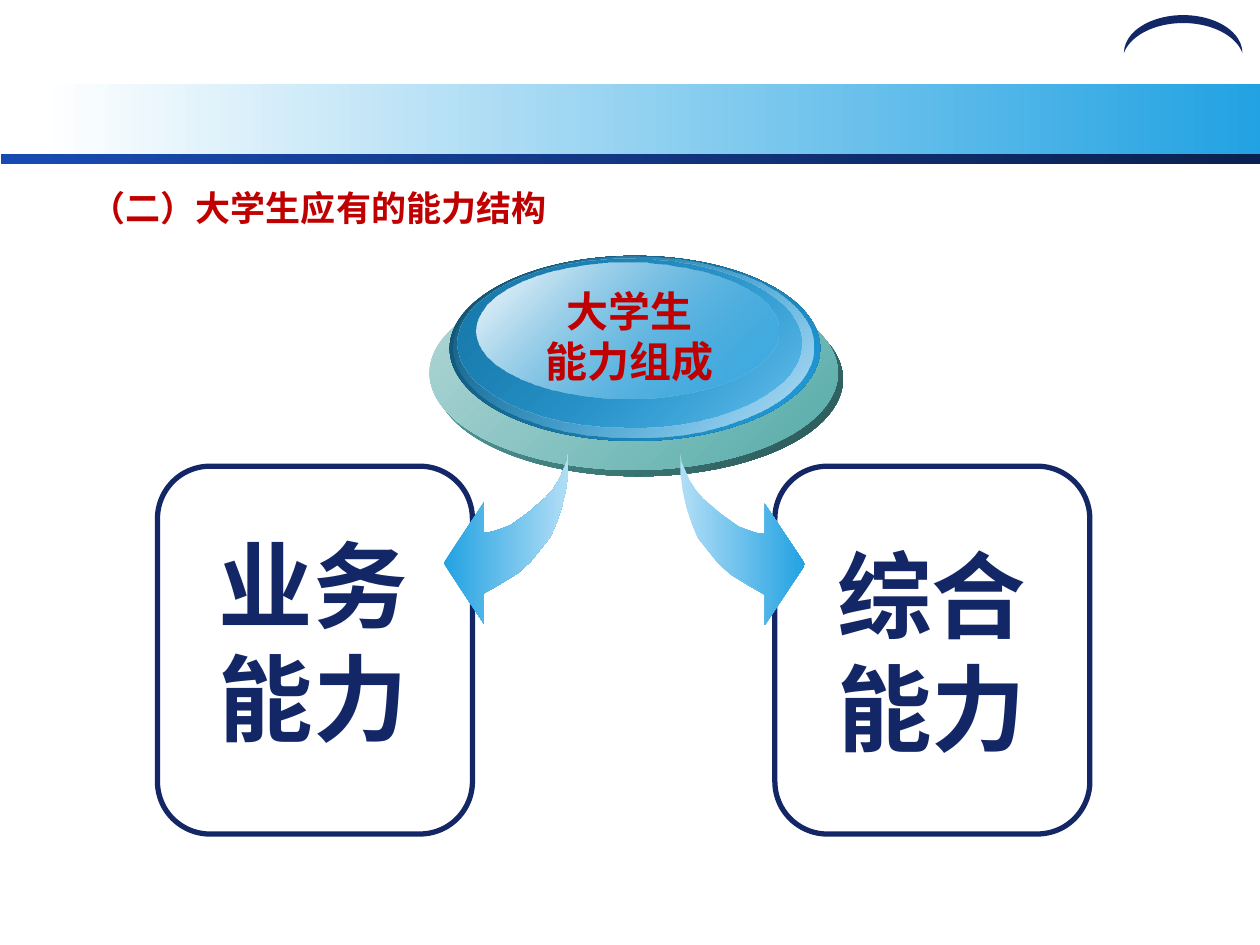
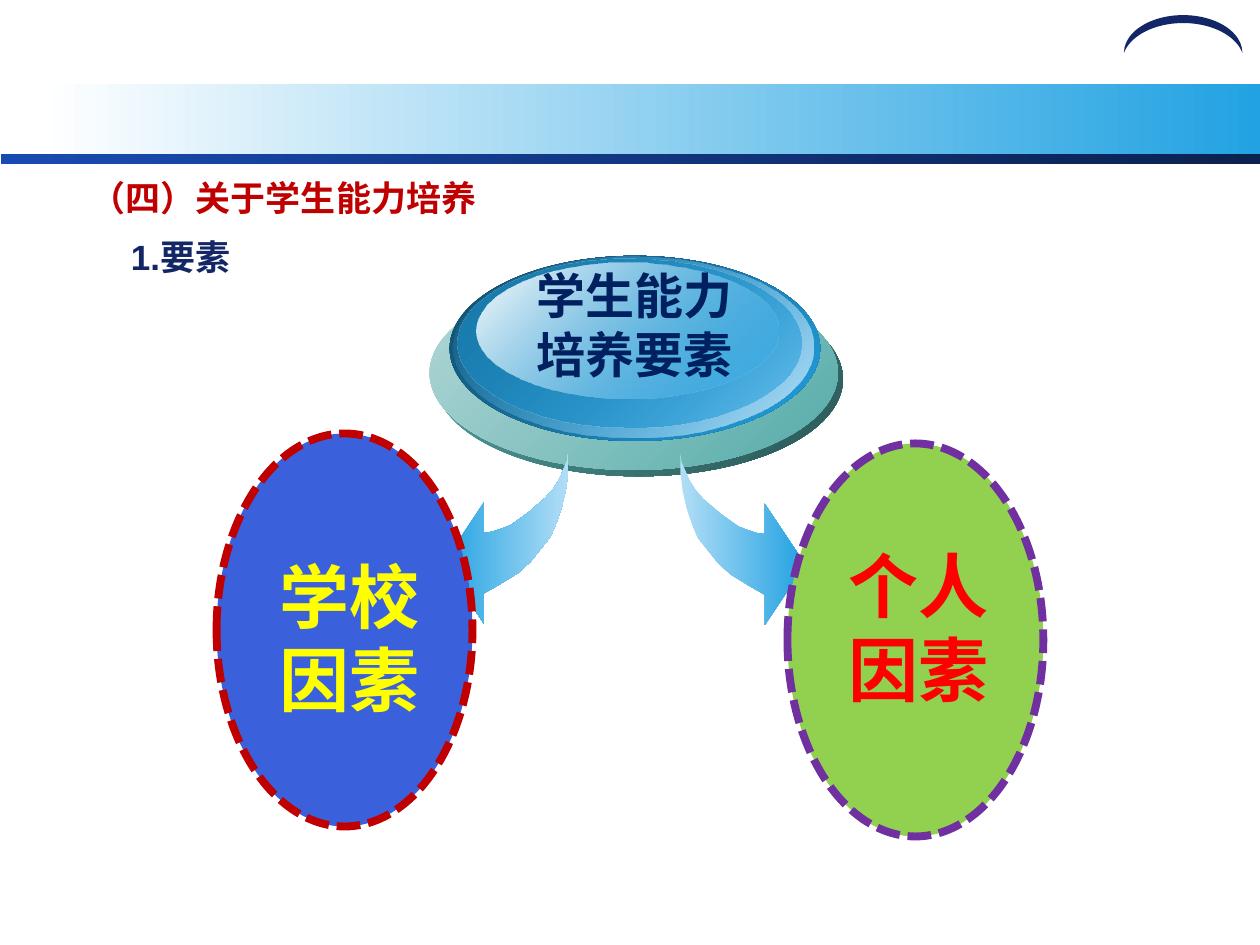
from lxml.etree import SubElement
from pptx import Presentation
from pptx.dml.color import RGBColor
from pptx.enum.dml import MSO_LINE
from pptx.enum.shapes import MSO_SHAPE
from pptx.enum.text import MSO_ANCHOR, MSO_AUTO_SIZE, PP_ALIGN
from pptx.oxml.ns import qn
from pptx.util import Pt

LATIN, CJK = "Arial", "Noto Sans CJK SC"
NAVY, SKY, RED, TEAL = "132767", "22A2E2", "C00000", "55ABA9"
LINE_PITCH = 1.2

# left, top, width, height, first colour, last colour, first alpha, last alpha
HUB_LAYERS = [
    (248.4, 161.3, 233.3, 110.9, TEAL, "2A5554", 100, 100),
    (245.5, 157.7, 233.3, 110.9, "B2D8D7", TEAL, 100, 100),
    (257, 146.2, 211.7, 105.8, "0F4A68", SKY, 100, 100),
    (259.2, 146.9, 205.9, 103, SKY, "C0E2F6", 0, 100),
    (261.4, 147.6, 196.6, 96.5, "1A7AAB", SKY, 100, 48),
    (272.2, 149.8, 172.8, 77.8, "FFFFFF", SKY, 100, 38),
]

# Outline of a curved arrow, measured from the tip of its tail
ARROW_UNIT = 0.72
ARROW = [
    (0, 16), (2, 30), (5, 43), (9, 55), (14, 67), (22, 77), (30, 87),
    (40, 96), (53, 104), (67, 112), (67, 136), (99, 88), (67, 40), (67, 64),
    (60, 63), (54, 61), (46, 58), (39, 53), (32, 48), (25, 42), (18, 36),
    (12, 29), (7, 21), (4, 14), (1, 7),
]


def rgb(color):
    return RGBColor.from_string(color)


def fill_solid(s, color):
    s.fill.solid()
    s.fill.fore_color.rgb = rgb(color)


def fill_gradient(s, first, last, angle=0, alphas=(100, 100)):
    """Blend two colours; the angle runs clockwise, alphas are percentages."""
    s.fill.gradient()
    s.fill.gradient_angle = (360 - angle) % 360
    for stop, color in zip(s.fill.gradient_stops, (first, last)):
        stop.color.rgb = rgb(color)
    for node, alpha in zip(s.element.spPr.iter(qn("a:srgbClr")), alphas):
        if alpha < 100:
            SubElement(node, qn("a:alpha"), val=str(alpha * 1000))


def add_plain(slide, kind, box):
    """Add a preset shape without shadow or line."""
    s = slide.shapes.add_shape(kind, *map(Pt, box))
    s.shadow.inherit = False
    s.line.fill.background()
    return s


def set_line(s, color, width, dash=None):
    s.line.color.rgb = rgb(color)
    s.line.width = Pt(width)
    if dash:
        s.line.dash_style = dash


def write(s, lines, size, color, font=LATIN, align=PP_ALIGN.LEFT):
    """Fill the text frame with one bold paragraph per line."""
    tf = s.text_frame
    tf.word_wrap = True
    tf.auto_size = MSO_AUTO_SIZE.NONE
    tf.vertical_anchor = MSO_ANCHOR.TOP
    tf.margin_left = tf.margin_right = Pt(7.2)
    tf.margin_top = Pt(3.6 + 0.07 * size)
    tf.margin_bottom = 0
    for i, line in enumerate(lines):
        p = tf.add_paragraph() if i else tf.paragraphs[0]
        p.alignment = align
        p.line_spacing = Pt(size * LINE_PITCH)
        p.space_before = p.space_after = Pt(0)
        r = p.add_run()
        r.text = line
        r.font.size = Pt(size)
        r.font.bold = True
        r.font.color.rgb = rgb(color)
        r.font.name = font
        SubElement(r.font._element, qn("a:ea"), typeface=CJK)


def add_text(slide, box, lines, size, color, **style):
    write(slide.shapes.add_textbox(*map(Pt, box)), lines, size, color, **style)


def add_heading(slide, top, text):
    s = slide.shapes.title
    s.left, s.top, s.width, s.height = map(Pt, (44.6, top, 298, 31.5))
    write(s, [text], 20, RED)


def add_hub(slide):
    for *box, first, last, start, end in HUB_LAYERS:
        s = add_plain(slide, MSO_SHAPE.OVAL, box)
        fill_gradient(s, first, last, 45, (start, end))


def add_arrow(slide, tail_x, tail_y, side):
    """Add a curved arrow pointing left (side -1) or right (side 1)."""
    builder = slide.shapes.build_freeform(tail_x, tail_y, Pt(ARROW_UNIT))
    builder.add_line_segments(
        [(tail_x + side * x, tail_y + y) for x, y in ARROW], close=True)
    s = builder.convert_to_shape()
    s.shadow.inherit = False
    s.line.fill.background()
    colors = (SKY, "B2DEF6")
    fill_gradient(s, *colors[::-side])


def add_left_arrow(slide):
    add_arrow(slide, 451, 359, -1)


def add_right_arrow(slide):
    add_arrow(slide, 540, 360, 1)


def add_card(slide, left):
    s = add_plain(slide, MSO_SHAPE.ROUNDED_RECTANGLE, (left, 266.4, 180, 210.2))
    s.fill.background()
    set_line(s, NAVY, 3)


def add_factor(slide, left, top, fill, line, text, color, align):
    s = add_plain(slide, MSO_SHAPE.OVAL, (left, top, 146.2, 224.6))
    fill_solid(s, fill)
    set_line(s, line, 4.5, MSO_LINE.SQUARE_DOT)
    return text, color, align


def decorate_layout(layout, slide):
    """Build the band, bar and arc on the slide, then move them to its layout."""
    band = add_plain(slide, MSO_SHAPE.RECTANGLE, (24, 48.2, 696, 41.8))
    fill_gradient(band, "FFFFFF", SKY)
    bar = add_plain(slide, MSO_SHAPE.RECTANGLE, (0.7, 87.8, 719.3, 5.8))
    fill_gradient(bar, "184BB2", "0B2150")
    arc = add_plain(slide, MSO_SHAPE.MOON, (665.3, -14.4, 21.6, 67.7))
    arc.rotation = 90
    arc.adjustments[0] = 0.21
    fill_solid(arc, NAVY)
    for s in (band, bar, arc):
        layout.shapes.element.append(s.element)


def build_structure(slide):
    add_heading(slide, 101.5, "（二）大学生应有的能力结构")
    add_hub(slide)
    add_text(slide, (298, 157.7, 123.8, 65.5), ["大学生", "能力组成"], 24, RED,
             align=PP_ALIGN.CENTER)
    add_card(slide, 90)
    add_left_arrow(slide)
    add_text(slide, (118, 293.8, 124, 138.2), ["业务", "能力"], 54, NAVY)
    add_card(slide, 442.8)
    add_right_arrow(slide)
    add_text(slide, (471.4, 299.5, 124, 138.2), ["综合", "能力"], 54, NAVY)


def build_factors(slide):
    add_heading(slide, 95.8, "（四）关于学生能力培养")
    add_hub(slide)
    add_text(slide, (292.3, 146.2, 140.4, 74.9), ["学生能力培养要素"], 28,
             "002060", font=CJK, align=PP_ALIGN.CENTER)
    add_left_arrow(slide)
    add_right_arrow(slide)
    factors = [
        (123.8, 247.7, 309.6, "3A61DB", RED, "学校因素", "FFFF00",
         PP_ALIGN.CENTER),
        (450, 253.4, 303.8, "92D050", "7030A0", "个人因素", "FF0000",
         PP_ALIGN.LEFT),
    ]
    for left, top, text_top, fill, line, text, color, align in factors:
        add_factor(slide, left, top, fill, line, text, color, align)
        add_text(slide, (left + 28, text_top, 96, 104.4), [text], 40, color,
                 font=CJK, align=align)
    add_text(slide, (67.7, 129.6, 168.5, 31.7), ["1.要素"], 20, NAVY)


def main():
    prs = Presentation()
    prs.slide_width, prs.slide_height = Pt(720), Pt(540)
    layout = prs.slide_layouts[5]
    structure, factors = (prs.slides.add_slide(layout) for _ in range(2))
    decorate_layout(layout, structure)
    build_structure(structure)
    build_factors(factors)
    prs.save("out.pptx")


if __name__ == "__main__":
    main()
